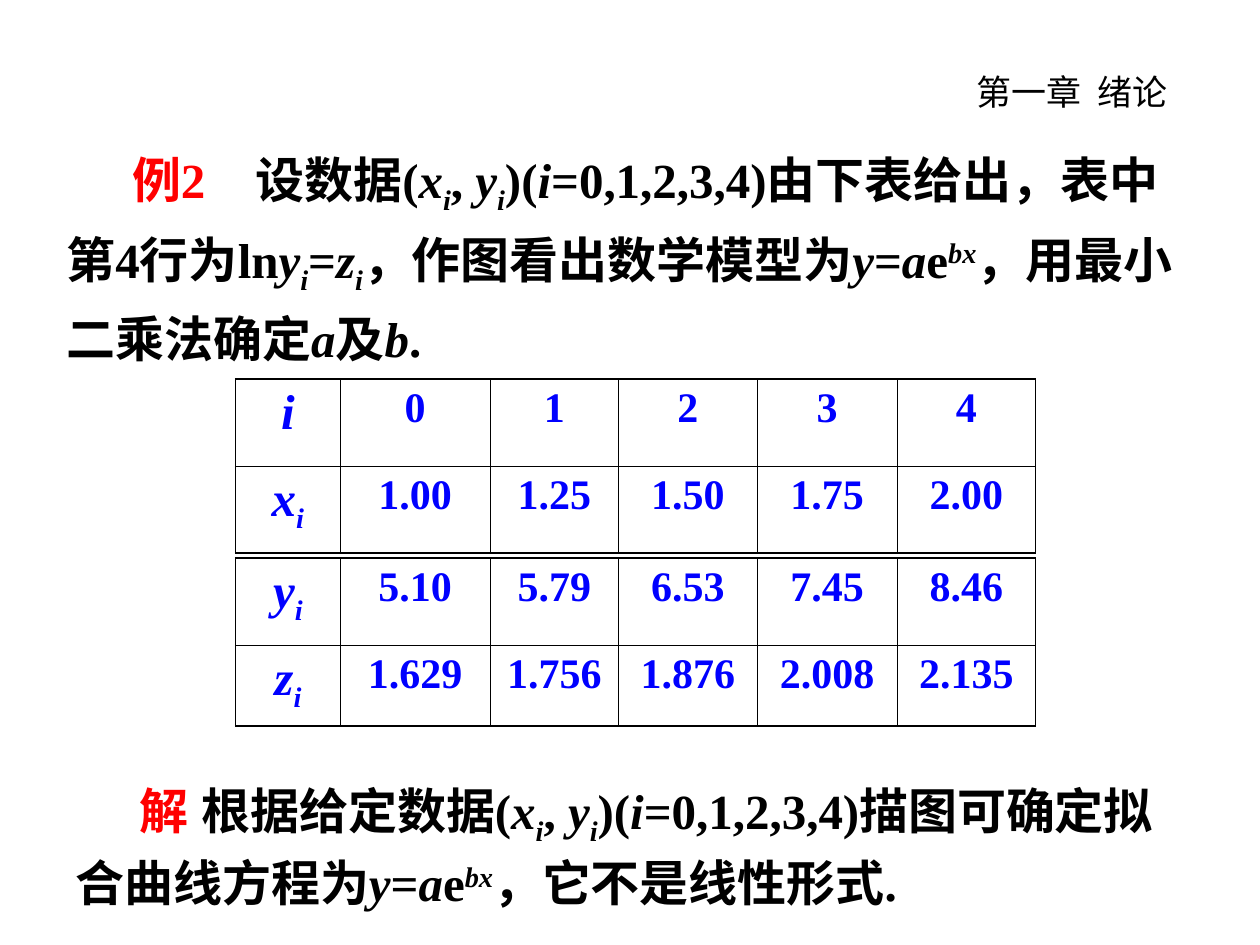
from lxml import etree
from pptx import Presentation
from pptx.dml.color import RGBColor
from pptx.enum import text
from pptx.oxml import ns
from pptx.util import Inches, Pt

COLORS = {"black": "000000", "red": "FF0000", "blue": "0000FF"}
STYLES = {
    "plain": {},
    "var": {"italic": True},
    "sub": {"italic": True, "baseline": -25000},
    "sup": {"italic": True, "baseline": 30000},
    "mark": {"color": "red"},
}
THIN, THICK = 0.45, 1.08


def add_runs(p, parts, size, color="black", font="Times New Roman", bold=True):
    """Add (text, style name) pairs to a paragraph as runs."""
    for words, style in parts:
        look = STYLES[style]
        r = p.add_run()
        r.text = words
        values = {"name": font, "size": Pt(size), "bold": bold,
                  "italic": look.get("italic", False)}
        for name, value in values.items():
            setattr(r.font, name, value)
        r.font.color.rgb = RGBColor.from_string(COLORS[look.get("color", color)])
        if "baseline" in look:
            r._r.get_or_add_rPr().set("baseline", str(look["baseline"]))


def set_borders(cell, widths):
    """Draw black cell borders; widths maps L, R, T, B to points."""
    tcPr = cell._tc.get_or_add_tcPr()
    for side, width in widths.items():
        ln = etree.SubElement(tcPr, ns.qn(f"a:ln{side}"), w=str(Pt(width)))
        fill = etree.SubElement(ln, ns.qn("a:solidFill"))
        etree.SubElement(fill, ns.qn("a:srgbClr"), val=COLORS["black"])


prs = Presentation()
prs.slide_width, prs.slide_height = Inches(10), Inches(7.5)
s = prs.slides.add_slide(prs.slide_layouts[6])

points = [("(", "plain"), ("x", "var"), ("i", "sub"), (", ", "plain"),
          ("y", "var"), ("i", "sub"), (")(", "plain"), ("i", "var")]
model = [("y", "var"), ("=", "plain"), ("a", "var"), ("e", "plain"), ("bx", "sup")]

header = [("第一章  绪论", "plain")]
example = [
    ("例2", "mark"), ("\t设数据", "plain"), *points,
    ("=0,1,2,3,4)由下表给出，表中第4行为ln", "plain"),
    ("y", "var"), ("i", "sub"), ("=", "plain"), ("z", "var"), ("i", "sub"),
    ("，作图看出数学模型为", "plain"), *model,
    ("，用最小二乘法确定", "plain"), ("a", "var"), ("及", "plain"),
    ("b", "var"), (".", "plain"),
]
solution = [
    ("解", "mark"), ("\t根据给定数据", "plain"), *points,
    ("=0,1,2,3,4)描图可确定拟合曲线方程为", "plain"), *model,
    ("，它不是线性形式.", "plain"),
]

# box, runs, line spacing, first-line indent, tab stop, run format
text_boxes = [
    ((5.23, 0.51, 4.77, 0.94), header, 1, 2.42, None,
     {"size": 20, "font": "Arial", "bold": False}),
    ((0.43, 1.03, 9.17, 1.94), example, 1.2, 0.52, 1.59, {"size": 28}),
    ((0.5, 6.09, 9.08, 1.2), solution, 1.1, 0.51, 1.09, {"size": 28}),
]
for box, parts, spacing, indent, tab, look in text_boxes:
    sp = s.shapes.add_textbox(*map(Inches, box))
    tf = sp.text_frame
    tf.word_wrap = True
    p = tf.paragraphs[0]
    p.line_spacing = spacing
    pPr = p._p.get_or_add_pPr()
    pPr.set("marL", "0")
    pPr.set("indent", str(Inches(indent)))
    if tab:
        tabs = etree.SubElement(pPr, ns.qn("a:tabLst"))
        etree.SubElement(tabs, ns.qn("a:tab"), pos=str(Inches(tab)), algn="l")
    add_runs(p, parts, **look)

col_widths = [0.83, 1.19, 1.02, 1.1, 1.11, 1.1]
# top, row heights, rows of symbol and values
tables = [
    (3.01, [0.69, 0.69], [
        ([("i", "var")], ["0", "1", "2", "3", "4"]),
        ([("x", "var"), ("i", "sub")], ["1.00", "1.25", "1.50", "1.75", "2.00"]),
    ]),
    (4.43, [0.69, 0.64], [
        ([("y", "var"), ("i", "sub")], ["5.10", "5.79", "6.53", "7.45", "8.46"]),
        ([("z", "var"), ("i", "sub")], ["1.629", "1.756", "1.876", "2.008", "2.135"]),
    ]),
]
for top, heights, rows in tables:
    frame = s.shapes.add_table(len(rows), len(col_widths), Inches(1.87), Inches(top),
                               Inches(sum(col_widths)), Inches(sum(heights)))
    table = frame.table
    table.first_row = table.horz_banding = False
    for col, width in zip(table.columns, col_widths):
        col.width = Inches(width)
    last_row, last_col = len(rows) - 1, len(col_widths) - 1
    for i, (symbol, values) in enumerate(rows):
        table.rows[i].height = Inches(heights[i])
        for j, parts in enumerate([symbol] + [[(v, "plain")] for v in values]):
            cell = table.cell(i, j)
            set_borders(cell, {
                "L": THICK if j == 0 else THIN,
                "R": THICK if j == last_col else THIN,
                "T": THICK if i == 0 else THIN,
                "B": THICK if i == last_row else THIN,
            })
            cell.fill.background()
            p = cell.text_frame.paragraphs[0]
            p.alignment = text.PP_ALIGN.CENTER
            add_runs(p, parts, 28 if j == 0 else 24, "blue")

prs.save("out.pptx")
